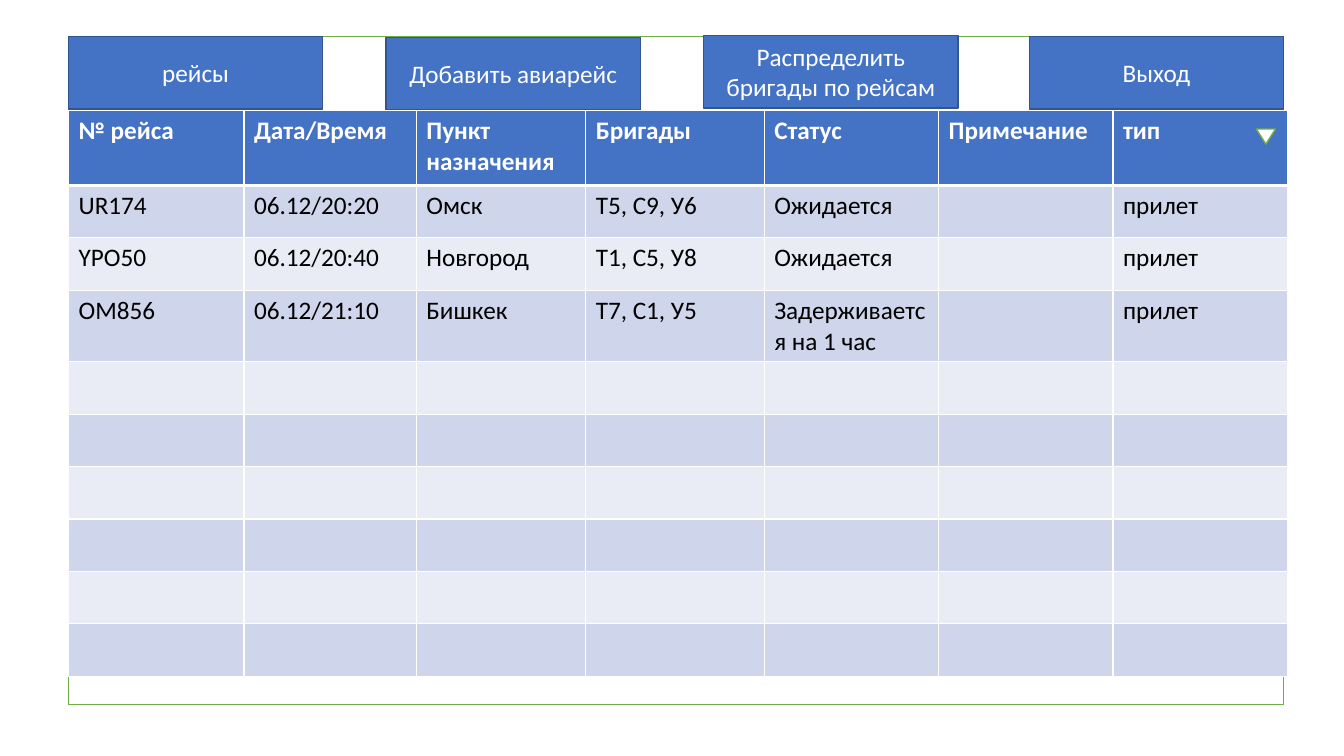
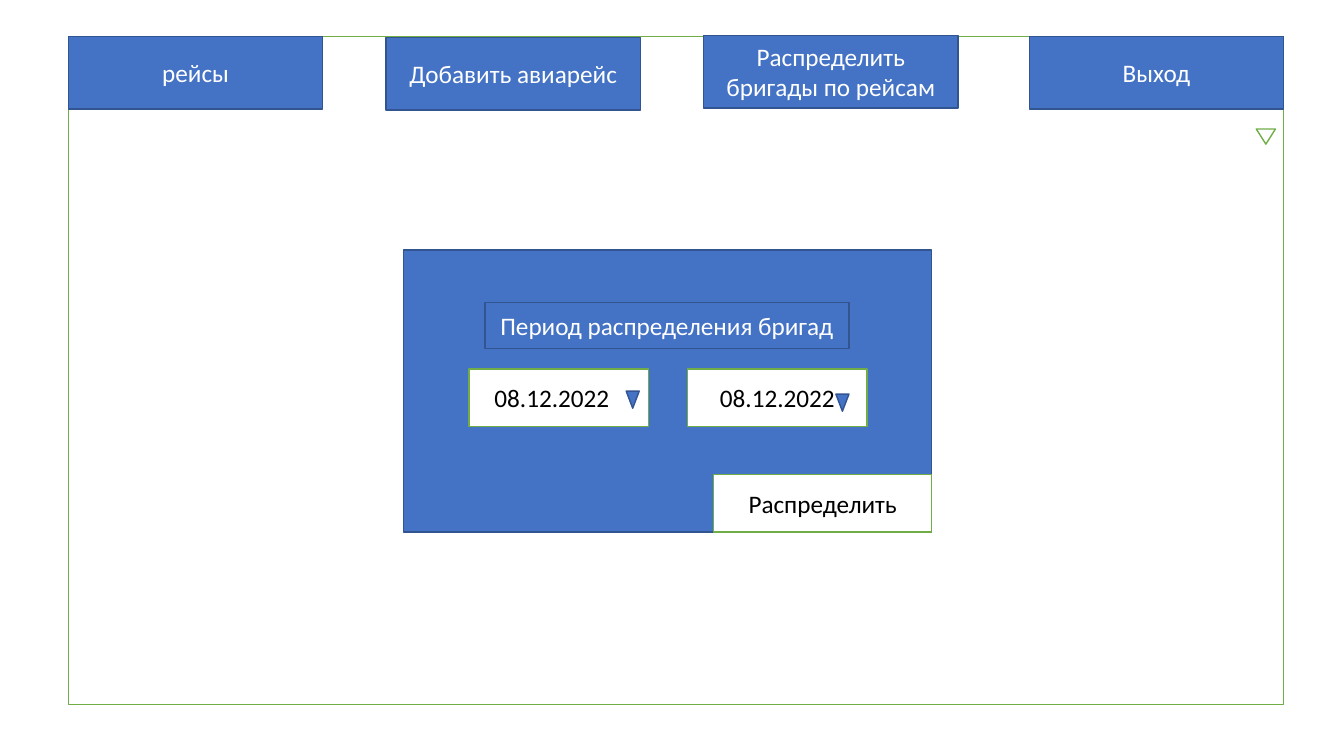
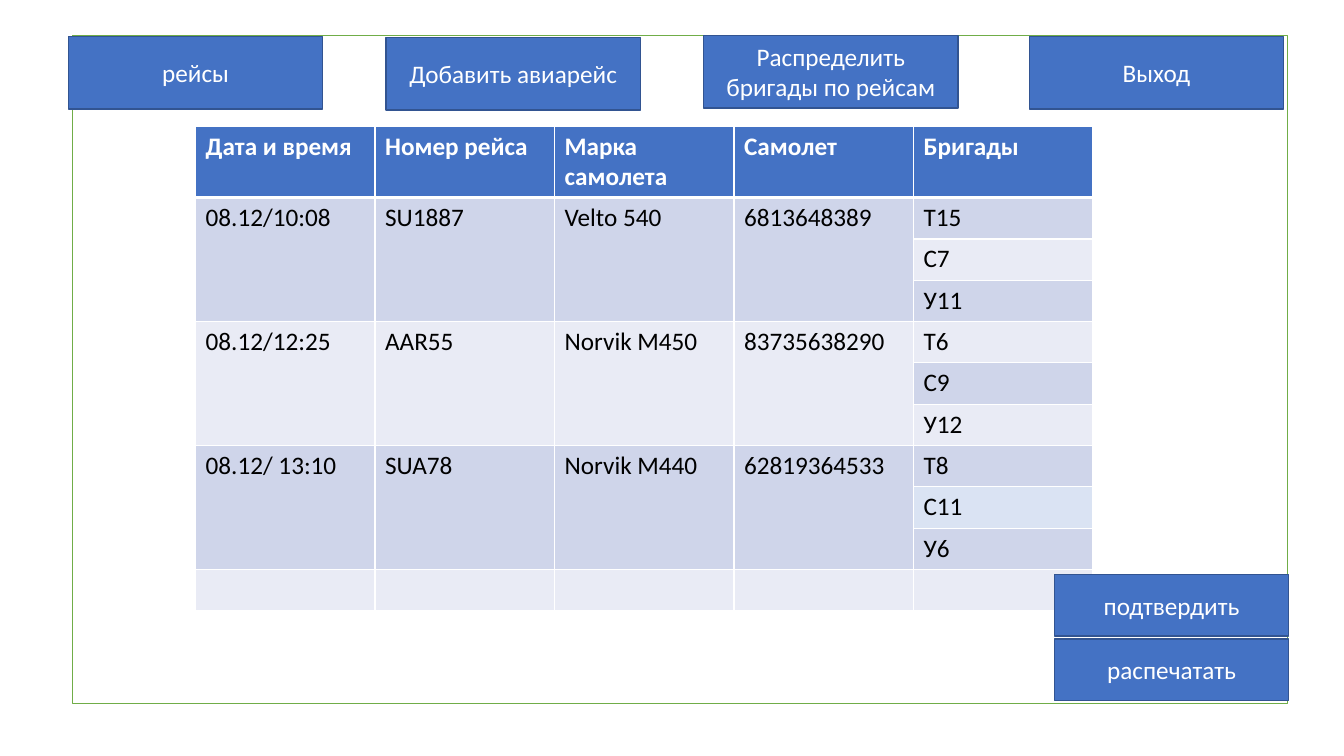
from pptx import Presentation
from pptx.dml.color import RGBColor
from pptx.enum.shapes import MSO_SHAPE as Shape
from pptx.enum.text import MSO_ANCHOR, PP_ALIGN
from pptx.oxml.ns import qn
from pptx.util import Inches, Pt
from lxml.etree import SubElement

BLUE = RGBColor(0x44, 0x72, 0xC4)
NAVY = RGBColor(0x32, 0x54, 0x91)
GREEN = RGBColor(0x70, 0xAD, 0x47)
WHITE = RGBColor(0xFF, 0xFF, 0xFF)
BLACK = RGBColor(0x00, 0x00, 0x00)
BAND_DARK = RGBColor(0xCF, 0xD5, 0xEA)
BAND_LIGHT = RGBColor(0xE9, 0xEB, 0xF5)
HIGHLIGHT = RGBColor(0xDA, 0xE3, 0xF3)

SOLID = (BLUE, NAVY, WHITE)
OUTLINED = (WHITE, GREEN, BLACK)

MENU = [
    ("рейсы", 0.68, 0.36),
    ("Добавить авиарейс", 3.83, 0.37),
    ("Распределить бригады по рейсам", 6.98, 0.35),
    ("Выход", 10.21, 0.36),
]
MENU_SIZE = (2.52, 0.72)
FRAME = (0.68, 0.36, 12.05, 6.63)
PLAN_FRAME = (0.72, 0.35, 12.05, 6.63)
TYPE_FILTER = (12.46, 1.28, 0.19, 0.15)

FLIGHT_COLUMNS = [1.74, 1.71, 1.68, 1.77, 1.73, 1.73, 1.73]
FLIGHT_ROWS = [
    ["№ рейса", "Дата/Время", "Пункт назначения", "Бригады", "Статус", "Примечание", "тип"],
    ["UR174", "06.12/20:20", "Омск", "Т5, С9, У6", "Ожидается", "", "прилет"],
    ["YPO50", "06.12/20:40", "Новгород", "Т1, С5, У8", "Ожидается", "", "прилет"],
    ["OM856", "06.12/21:10", "Бишкек", "Т7, С1, У5", "Задерживается на 1 час", "", "прилет"],
] + [[""] * 7] * 6

PLAN_HEADER = ["Дата и время", "Номер рейса", "Марка самолета", "Самолет", "Бригады"]
PLAN_FLIGHTS = [
    (["08.12/10:08", "SU1887", "Velto 540", "6813648389"], ["Т15", "С7", "У11"]),
    (["08.12/12:25", "AAR55", "Norvik M450", "83735638290"], ["Т6", "С9", "У12"]),
    (["08.12/ 13:10", "SUA78", "Norvik M440", "62819364533"], ["Т8", "С11", "У6"]),
]
HIGHLIGHTED_CREW = "С11"

PERIOD_PANEL = (4, 2.48, 5.24, 2.8)
PERIOD_TITLE = ("Период распределения бригад", (4.81, 3, 3.61, 0.46))
PERIOD_DATES = [
    ("08.12.2022", (4.65, 3.66, 1.78, 0.57), (6.21, 3.88), 0.23),
    ("08.12.2022", (6.82, 3.66, 1.78, 0.57), (8.29, 3.91), 0.1),
]
DATE_ARROW_SIZE = (0.13, 0.17)
ASSIGN = ("Распределить", (7.08, 4.71, 2.16, 0.57))
PLAN_ACTIONS = ["подтвердить", "распечатать"]


def style_text(paragraph, color, bold=False):
    font = paragraph.font
    font.name, font.size, font.bold = "Calibri", Pt(18), bold
    font.color.rgb = color


def add_box(slide, box, style, text="", kind=Shape.RECTANGLE):
    fill, line, color = style
    shape = slide.shapes.add_shape(kind, *map(Inches, box))
    shape.shadow.inherit = False
    shape.fill.solid()
    shape.fill.fore_color.rgb = fill
    shape.line.color.rgb = line
    shape.line.width = Pt(1)
    if text:
        frame = shape.text_frame
        frame.word_wrap = True
        frame.vertical_anchor = MSO_ANCHOR.MIDDLE
        frame.text = text
        frame.paragraphs[0].alignment = PP_ALIGN.CENTER
        style_text(frame.paragraphs[0], color)
    return shape


def add_down_arrow(slide, box, style):
    add_box(slide, box, style, kind=Shape.ISOSCELES_TRIANGLE).rotation = 180


def add_screen(deck, frame):
    slide = deck.slides.add_slide(deck.slide_layouts[6])
    add_box(slide, frame, OUTLINED)
    for label, left, top in MENU:
        add_box(slide, (left, top, *MENU_SIZE), SOLID, label)
    return slide


def set_borders(cell, bottom):
    properties = cell._tc.get_or_add_tcPr()
    for side, width in (("L", 1), ("R", 1), ("T", 1), ("B", bottom)):
        border = SubElement(properties, qn(f"a:ln{side}"), w=str(Pt(width)))
        SubElement(SubElement(border, qn("a:solidFill")), qn("a:srgbClr"), val=str(WHITE))


def add_grid(slide, left, top, widths, heights, rows):
    table = slide.shapes.add_table(
        len(rows), len(widths), Inches(left), Inches(top),
        Inches(sum(widths)), Inches(sum(heights))).table
    for column, width in zip(table.columns, widths):
        column.width = Inches(width)
    for r, (values, height) in enumerate(zip(rows, heights)):
        table.rows[r].height = Inches(height)
        header = r == 0
        band = BLUE if header else BAND_DARK if r % 2 else BAND_LIGHT
        for c, value in enumerate(values):
            cell = table.cell(r, c)
            set_borders(cell, 3 if header else 1)
            cell.fill.solid()
            cell.fill.fore_color.rgb = band
            cell.text = value
            style_text(cell.text_frame.paragraphs[0], WHITE if header else BLACK, header)
    return table


def build_flights(deck):
    slide = add_screen(deck, FRAME)
    heights = [0.74] + [0.52] * (len(FLIGHT_ROWS) - 1)
    add_grid(slide, 0.68, 1.1, FLIGHT_COLUMNS, heights, FLIGHT_ROWS)
    add_down_arrow(slide, TYPE_FILTER, OUTLINED)


def build_period(deck):
    slide = add_screen(deck, FRAME)
    add_down_arrow(slide, TYPE_FILTER, OUTLINED)
    add_box(slide, PERIOD_PANEL, SOLID)
    title, title_box = PERIOD_TITLE
    add_box(slide, title_box, SOLID, title)
    for date, box, arrow, right_inset in PERIOD_DATES:
        field = add_box(slide, box, OUTLINED, date)
        field.text_frame.margin_right = Inches(right_inset)
        add_down_arrow(slide, (*arrow, *DATE_ARROW_SIZE), SOLID)
    label, label_box = ASSIGN
    add_box(slide, label_box, OUTLINED, label)


def build_plan(deck):
    slide = add_screen(deck, PLAN_FRAME)
    rows = [PLAN_HEADER]
    groups = []
    for details, crews in PLAN_FLIGHTS:
        groups.append((len(rows), len(rows) + len(crews) - 1))
        for i, crew in enumerate(crews):
            rows.append((details if i == 0 else [""] * len(details)) + [crew])
    rows.append([""] * len(PLAN_HEADER))
    table = add_grid(slide, 1.94, 1.25, [1.78] * len(PLAN_HEADER), [0.41] * len(rows), rows)
    for first, last in groups:
        for c in range(len(PLAN_HEADER) - 1):
            table.cell(first, c).merge(table.cell(last, c))
    for r, values in enumerate(rows):
        if values[-1] == HIGHLIGHTED_CREW:
            table.cell(r, len(values) - 1).fill.fore_color.rgb = HIGHLIGHT
    for i, label in enumerate(PLAN_ACTIONS):
        add_box(slide, (10.46, 5.7 + 0.64 * i, 2.32, 0.61), SOLID, label)


def main():
    deck = Presentation()
    deck.slide_width, deck.slide_height = Inches(13.33), Inches(7.5)
    build_flights(deck)
    build_period(deck)
    build_plan(deck)
    deck.save("out.pptx")


if __name__ == "__main__":
    main()
